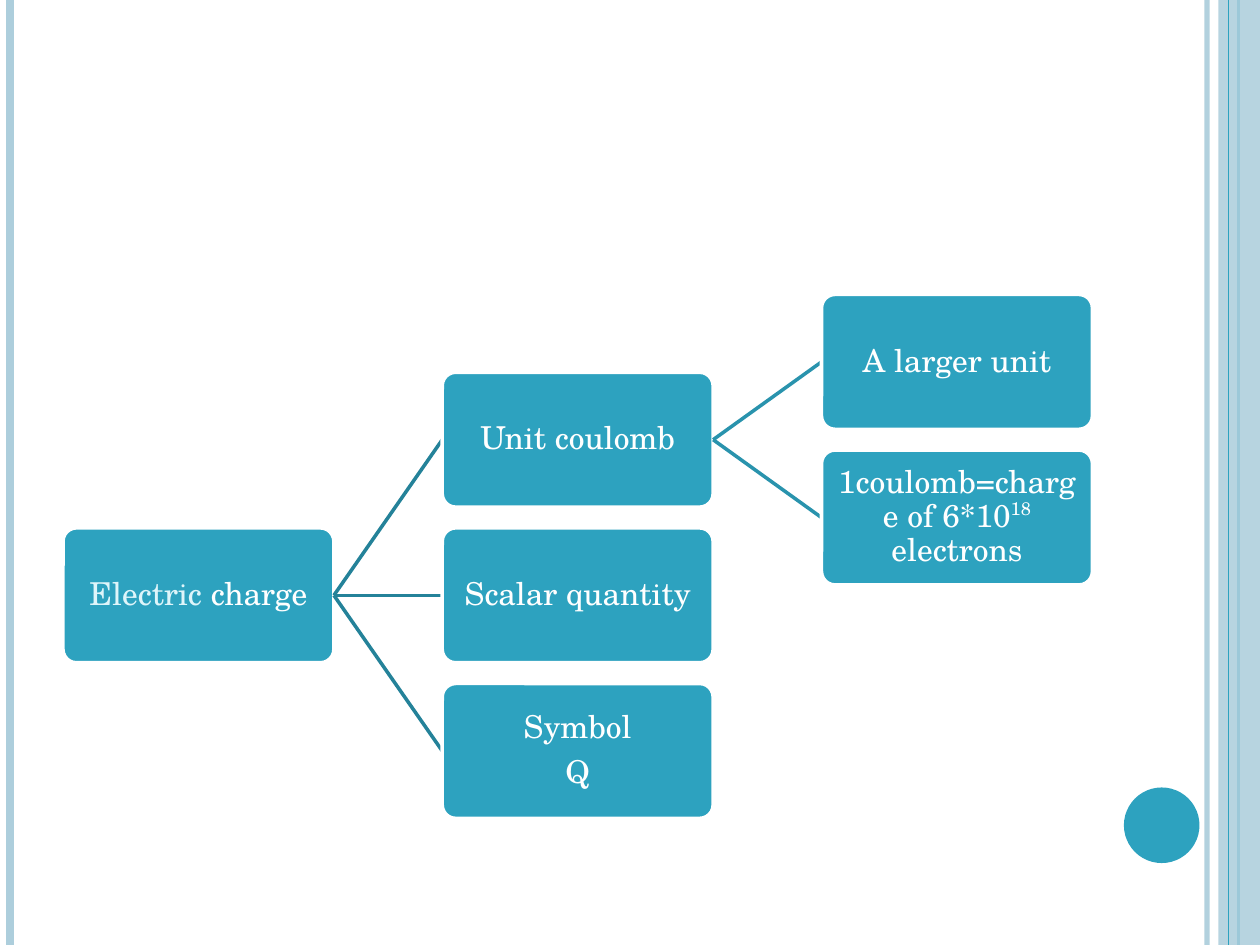
from dataclasses import dataclass
from typing import Optional

from lxml.etree import SubElement
from pptx import Presentation
from pptx.dml.color import RGBColor
from pptx.enum.shapes import MSO_CONNECTOR, MSO_SHAPE
from pptx.enum.text import MSO_ANCHOR, PP_ALIGN
from pptx.oxml.ns import qn
from pptx.util import Inches, Pt

COLORS = {
    "teal": "2DA2BF",
    "pale": "ADCEDC",
    "tint": "DEF5FA",
    "white": "FFFFFF",
    "first_link": "248299",
    "second_link": "2993AD",
}
FONT = "TeX Gyre Schola"
BOX_W, BOX_H = 2.15, 1.07
LEFT, TOP = 0.5, 4.19
COL_STEP, ROW_STEP = 3.01, 1.235
INSET = 0.045


@dataclass
class Run:
    text: str
    color: str = "white"
    baseline: int = 0


@dataclass
class Node:
    col: int
    row: float
    paragraphs: list[list[Run]]
    parent: Optional["Node"] = None
    link: str = "first_link"

    @property
    def x(self) -> float:
        return LEFT + self.col * COL_STEP

    @property
    def y(self) -> float:
        return TOP + self.row * ROW_STEP

    @property
    def middle(self) -> float:
        return self.y + BOX_H / 2


@dataclass
class Rule:
    x: float
    color: str
    width: float
    alpha: int = 100


def rgb(name: str) -> RGBColor:
    return RGBColor.from_string(COLORS[name])


def set_alpha(element, percent: int) -> None:
    for color in element.iter(qn("a:srgbClr")):
        SubElement(color, qn("a:alpha")).set("val", str(percent * 1000))


def add_line(s, x1: float, y1: float, x2: float, y2: float,
             color: str, width: float, alpha: int = 100) -> None:
    cxn = s.shapes.add_connector(
        MSO_CONNECTOR.STRAIGHT, Inches(x1), Inches(y1), Inches(x2), Inches(y2))
    cxn.line.color.rgb = rgb(color)
    cxn.line.width = Pt(width)
    spPr = cxn._element.spPr
    if alpha < 100:
        set_alpha(spPr, alpha)
    SubElement(spPr, qn("a:effectLst"))


def add_shape(s, kind, x: float, y: float, w: float, h: float, fill: str):
    sp = s.shapes.add_shape(kind, Inches(x), Inches(y), Inches(w), Inches(h))
    sp.shadow.inherit = False
    sp.fill.solid()
    sp.fill.fore_color.rgb = rgb(fill)
    sp.line.fill.background()
    return sp


def add_rule(s, rule: Rule) -> None:
    add_line(s, rule.x, 0, rule.x, 7.5, rule.color, rule.width, rule.alpha)


def draw_frame(s) -> None:
    for rule in (Rule(9.58, "pale", 3, 93), Rule(0.08, "pale", 4.5),
                 Rule(9.83, "teal", 1.5)):
        add_rule(s, rule)
    band = add_shape(s, MSO_SHAPE.RECTANGLE, 9.67, 0, 0.33, 7.5, "pale")
    set_alpha(band._element.spPr, 87)
    add_rule(s, Rule(9.75, "teal", 0.75))
    add_shape(s, MSO_SHAPE.OVAL, 8.92, 6.25, 0.6, 0.6, "teal")


def draw_node(s, node: Node) -> None:
    if node.parent:
        add_line(s, node.parent.x + BOX_W, node.parent.middle,
                 node.x, node.middle, node.link, 2)
    sp = add_shape(s, MSO_SHAPE.ROUNDED_RECTANGLE,
                   node.x, node.y, BOX_W, BOX_H, "teal")
    sp.adjustments[0] = 0.1
    sp.line.color.rgb = rgb("white")
    sp.line.width = Pt(2)
    tf = sp.text_frame
    tf.word_wrap = True
    tf.vertical_anchor = MSO_ANCHOR.MIDDLE
    tf.margin_left = tf.margin_right = Inches(INSET)
    tf.margin_top = tf.margin_bottom = Inches(INSET)
    for i, runs in enumerate(node.paragraphs):
        p = tf.add_paragraph() if i else tf.paragraphs[0]
        p.alignment = PP_ALIGN.CENTER
        p.line_spacing = 0.9
        p.space_before = Pt(6.3 if i else 0)
        p.font.name = FONT
        p.font.size = Pt(18)
        for run in runs:
            r = p.add_run()
            r.text = run.text
            r.font.color.rgb = rgb(run.color)
            if run.baseline:
                r._r.get_or_add_rPr().set("baseline", str(run.baseline * 1000))


def main() -> None:
    prs = Presentation()
    prs.slide_width, prs.slide_height = Inches(10), Inches(7.5)
    s = prs.slides.add_slide(prs.slide_layouts[6])
    draw_frame(s)

    charge = Node(0, 0, [[Run("Electric", "tint"), Run(" charge")]])
    unit = Node(1, -1, [[Run("Unit coulomb")]], charge)
    larger = Node(2, -1.5, [[Run("A larger unit")]], unit, "second_link")
    electrons = Node(2, -0.5, [[Run("1coulomb=charge of 6*10"),
                                Run("18", baseline=40),
                                Run(" electrons")]], unit, "second_link")
    scalar = Node(1, 0, [[Run("Scalar quantity")]], charge)
    symbol = Node(1, 1, [[Run("Symbol")], [Run("Q")]], charge)
    for node in (charge, unit, larger, electrons, scalar, symbol):
        draw_node(s, node)

    prs.save("out.pptx")


if __name__ == "__main__":
    main()
